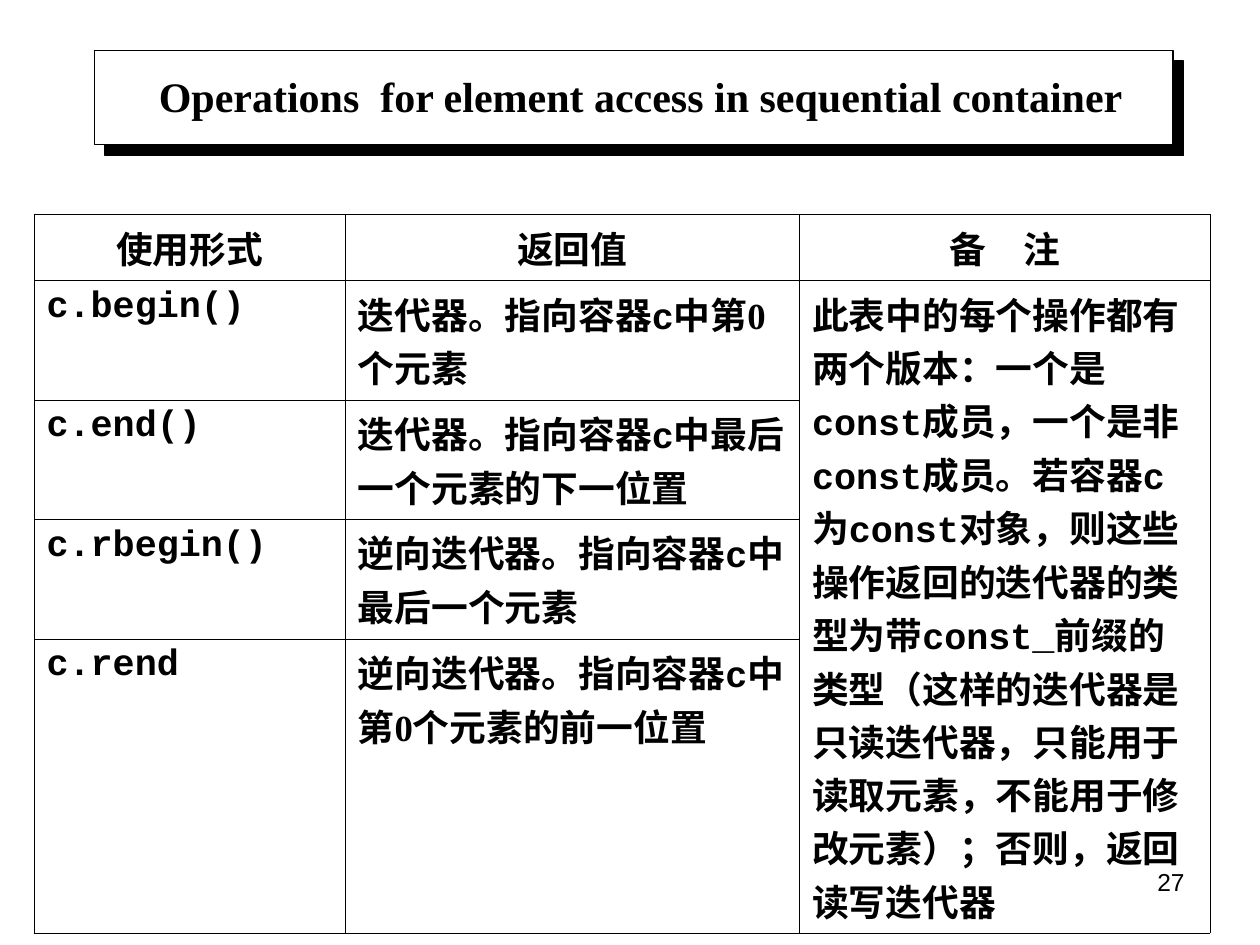
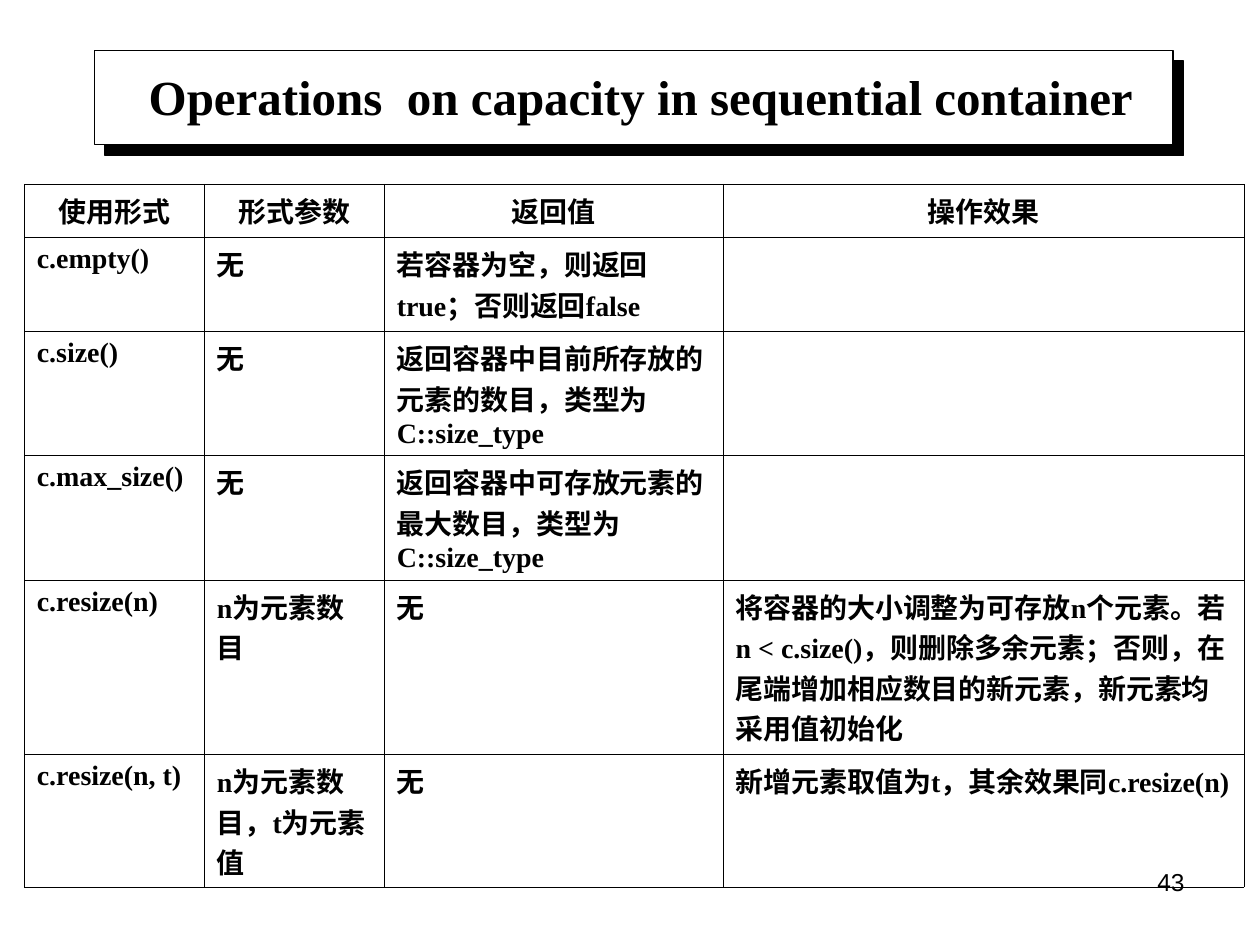
"""Build two table slides on sequential container operations."""
from lxml import etree
from pptx import Presentation
from pptx.dml.color import RGBColor
from pptx.enum.shapes import MSO_SHAPE
from pptx.enum.text import MSO_ANCHOR, PP_ALIGN
from pptx.oxml.ns import qn
from pptx.util import Inches, Pt

RECT = MSO_SHAPE.RECTANGLE
MIDDLE = MSO_ANCHOR.MIDDLE
LEFT, CENTER, RIGHT = PP_ALIGN.LEFT, PP_ALIGN.CENTER, PP_ALIGN.RIGHT
COLORS = {"ink": "000000", "paper": "FFFFFF"}
SANS, SERIF, CODE = "Arial", "Times New Roman", "Courier New"
UNIT = Inches(0.1)
COLS, ROWS = 100, 75
THIN, THICK = Pt(0.34), Pt(0.45)

ACCESS = [
    ["使用形式", "返回值", "备　注"],
    ["|c.begin()", "迭代器。指向容器|c|中第0个元素",
     "此表中的每个操作都有两个版本：一个是|const|成员，一个是非|const|"
     "成员。若容器|c|为|const|对象，则这些操作返回的迭代器的类型为带|const_|"
     "前缀的类型（这样的迭代器是只读迭代器，只能用于读取元素，"
     "不能用于修改元素）；否则，返回读写迭代器"],
    ["|c.end()", "迭代器。指向容器|c|中最后一个元素的下一位置", ""],
    ["|c.rbegin()", "逆向迭代器。指向容器|c|中最后一个元素", ""],
    ["|c.rend", "逆向迭代器。指向容器|c|中第0个元素的前一位置", ""],
]
CAPACITY = [
    ["使用形式", "形式参数", "返回值", "操作效果"],
    ["c.empty()", "无", "若容器为空，则返回true；否则返回false", ""],
    ["c.size()", "无", "返回容器中目前所存放的元素的数目，类型为C::size_type", ""],
    ["c.max_size()", "无", "返回容器中可存放元素的最大数目，类型为C::size_type", ""],
    ["c.resize(n)", "n为元素数目", "无",
     "将容器的大小调整为可存放n个元素。若n < c.size()，则删除多余元素；"
     "否则，在尾端增加相应数目的新元素，新元素均采用值初始化"],
    ["c.resize(n, t)", "n为元素数目，t为元素值", "无",
     "新增元素取值为t，其余效果同c.resize(n)"],
]


def grid(*cells):
    """Turn grid counts into lengths."""
    return [round(UNIT * n) for n in cells]


def tint(name):
    """Look up a colour."""
    return RGBColor.from_string(COLORS[name])


def style(font, size, face, bold=False):
    """Set a font."""
    font.size, font.name, font.bold = Pt(size), face, bold
    font.color.rgb = tint("ink")


def label(slide, box, text, size, face, align, bold=False):
    """Add a one-line text box."""
    frame = slide.shapes.add_textbox(*grid(*box)).text_frame
    frame.word_wrap = True
    para = frame.paragraphs[0]
    para.text, para.alignment = text, align
    style(para.font, size, face, bold)
    return frame


def banner(slide, title, size):
    """Add the title on its plate with a hard shadow."""
    plate = slide.shapes.add_shape(RECT, *grid(7.5, 4, 85.6, 7.5))
    plate.fill.solid()
    plate.fill.fore_color.rgb = tint("paper")
    plate.line.color.rgb = tint("ink")
    plate.line.width = Pt(0.75)
    plate.shadow.inherit = False
    effects = plate._element.spPr.find(qn("a:effectLst"))
    shade = etree.SubElement(effects, qn("a:outerShdw"), blurRad="0",
                             dist=str(Pt(8.5)), dir=str(45 * 60000))
    etree.SubElement(shade, qn("a:srgbClr"), val=COLORS["ink"])
    frame = label(slide, (8.3, 4.45, 84.3, 6.3), title, size, SERIF, CENTER, True)
    frame.vertical_anchor = MIDDLE
    frame.margin_left = Inches(0.18)


def border(cell, row, last):
    """Rule a cell, with thicker lines round the header and at the foot."""
    props = cell._tc.get_or_add_tcPr()
    widths = {"lnL": THIN, "lnR": THIN,
              "lnT": THICK if row < 2 else THIN,
              "lnB": THICK if row in (0, last) else THIN}
    for tag, width in widths.items():
        line = etree.SubElement(props, qn(f"a:{tag}"), w=str(width))
        fill = etree.SubElement(line, qn("a:solidFill"))
        etree.SubElement(fill, qn("a:srgbClr"), val=COLORS["ink"])
    cell.fill.background()


def write(cell, text, size, face, align):
    """Fill a cell; bars switch between prose and code."""
    para = cell.text_frame.paragraphs[0]
    para.alignment = align
    para._p.get_or_add_pPr().set("hangingPunct", "0")
    style(para.font, size, face, True)
    for i, part in enumerate(text.split("|")):
        if part:
            run = para.add_run()
            run.text = part
            style(run.font, size, CODE if i % 2 else face, True)


def chart(slide, spot, widths, heights, data, size, head):
    """Add a ruled table."""
    box = grid(*spot, sum(widths), sum(heights))
    table = slide.shapes.add_table(len(data), len(widths), *box).table
    table.first_row = table.horz_banding = False
    for col, width in zip(table.columns, grid(*widths)):
        col.width = width
    for row, height in zip(table.rows, grid(*heights)):
        row.height = height
    for r, texts in enumerate(data):
        for c, text in enumerate(texts):
            cell = table.cell(r, c)
            border(cell, r, len(data) - 1)
            write(cell, text, size, SERIF if r else head, LEFT if r else CENTER)
    return table


def page(deck, title, size, number):
    """Add a slide with its title and number."""
    slide = deck.slides.add_slide(deck.slide_layouts[6])
    banner(slide, title, size)
    label(slide, (71.7, 68.3, 23.3, 5.2), number, 14, SANS, RIGHT)
    return slide


def main():
    """Build and save the deck."""
    deck = Presentation()
    deck.slide_width, deck.slide_height = grid(COLS, ROWS)

    slide = page(deck, "Operations  for element access in sequential container",
                 24, "27")
    table = chart(slide, (2.7, 17), (24.7, 36.05, 32.6),
                  (5.25, 9.5, 9.45, 9.5, 23.35), ACCESS, 21, SANS)
    table.cell(1, 2).merge(table.cell(4, 2))

    slide = page(deck, "Operations  on capacity in sequential container", 28, "43")
    chart(slide, (1.93, 14.62), (14.28, 14.28, 26.9, 41.35),
          (4.22, 7.45, 9.85, 9.9, 13.82, 10.55), CAPACITY, 16, SERIF)

    deck.save("out.pptx")


if __name__ == "__main__":
    main()
